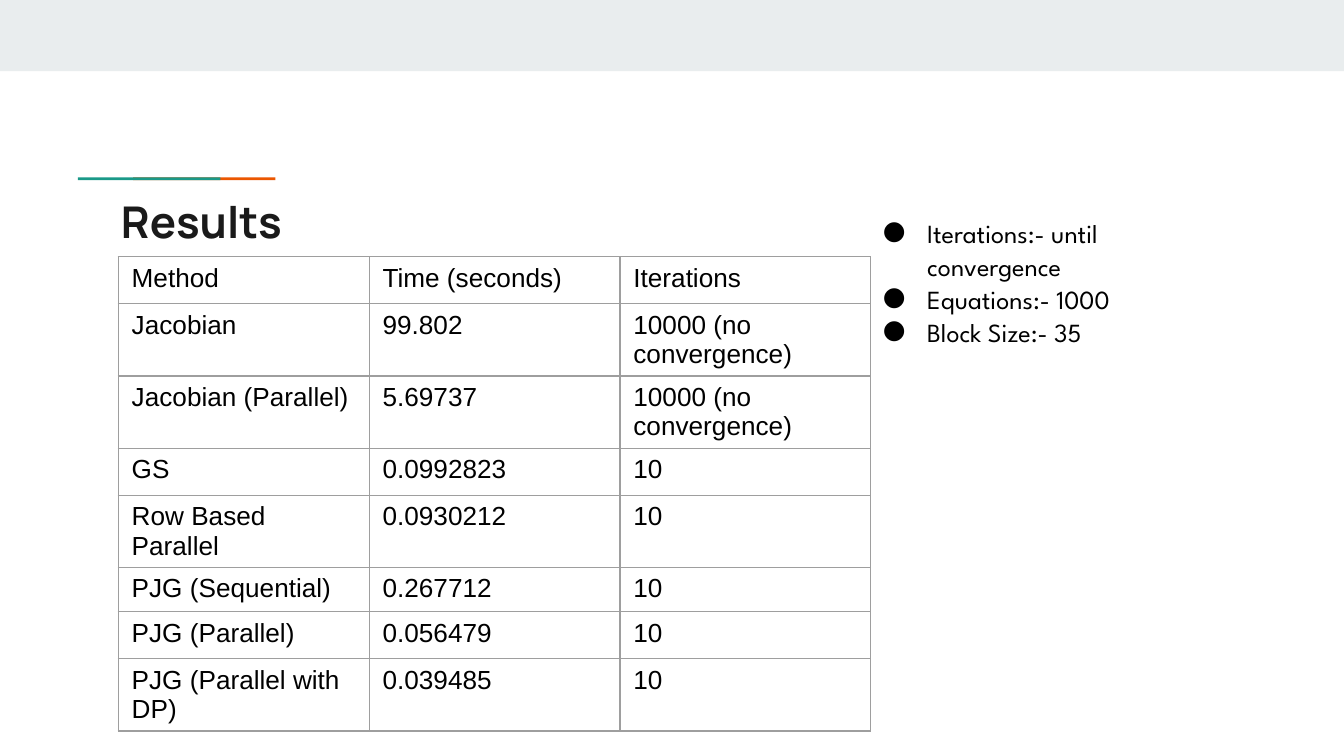
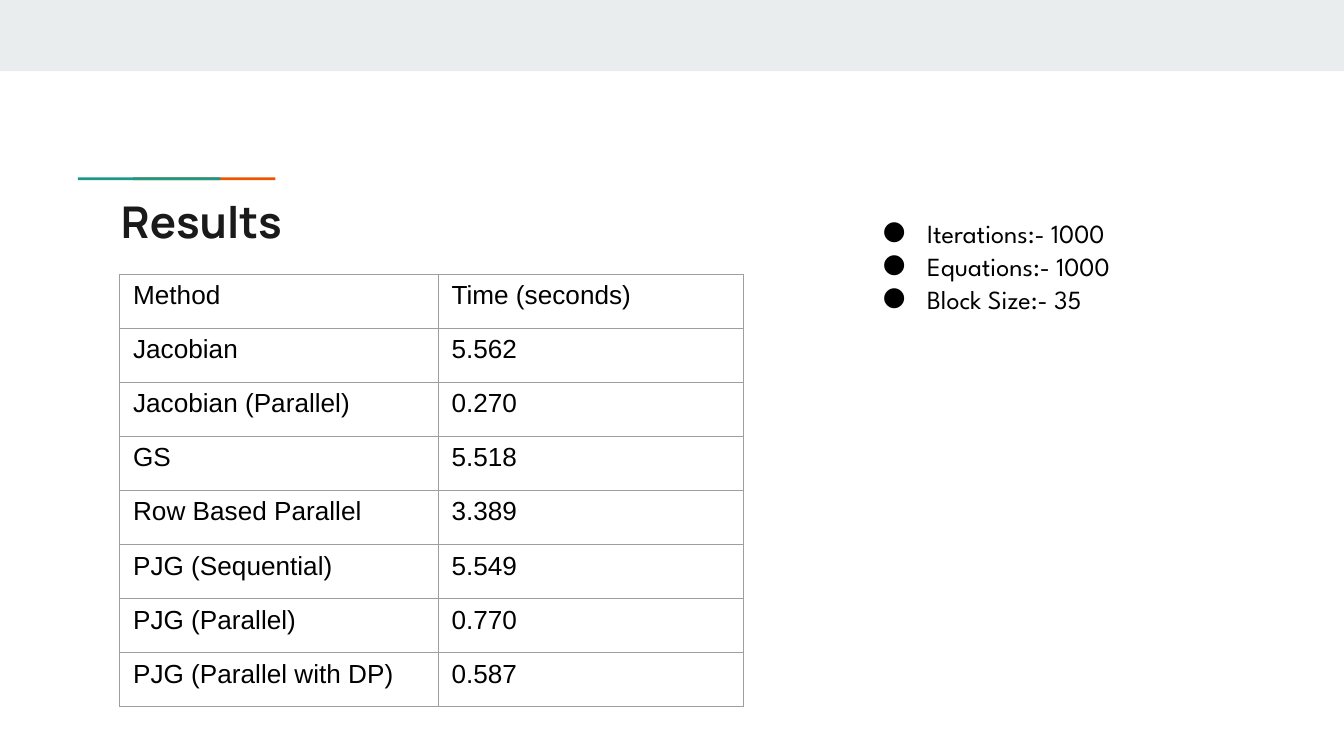
from lxml import etree
from pptx import Presentation
from pptx.dml.color import RGBColor
from pptx.enum.shapes import MSO_SHAPE
from pptx.enum.text import MSO_ANCHOR, MSO_AUTO_SIZE, PP_ALIGN
from pptx.oxml.ns import qn
from pptx.util import Inches, Pt

RECT = MSO_SHAPE.RECTANGLE
TOP = MSO_ANCHOR.TOP
LEFT = PP_ALIGN.LEFT
NO_FIT = MSO_AUTO_SIZE.NONE
GROW = MSO_AUTO_SIZE.SHAPE_TO_FIT_TEXT
TITLE_ONLY = 5

COLORS = {
    "band": "E9EDEE",
    "orange": "EB5600",
    "green": "1A9988",
    "title": "1A1A1A",
    "text": "000000",
    "border": "9E9E9E",
}
TITLE_FONT, TABLE_FONT, NOTE_FONT = "Manrope", "Arial", "League Spartan"

METHODS = ["Jacobian", "Jacobian (Parallel)", "GS", "Row Based Parallel",
           "PJG (Sequential)", "PJG (Parallel)", "PJG (Parallel with DP)"]

# Results until convergence
CONVERGENCE_TIMES = ["99.802", "5.69737", "0.0992823", "0.0930212",
                     "0.267712", "0.056479", "0.039485"]
CONVERGENCE_ITERATIONS = ["10000 (no convergence)"] * 2 + ["10"] * 5
CONVERGENCE_HEIGHTS = [0.35, 0.53, 0.53, 0.35, 0.53, 0.33, 0.35, 0.53]

# Results for a fixed number of iterations
FIXED_TIMES = ["5.562", "0.270", "5.518", "3.389", "5.549", "0.770", "0.587"]


def add_run(p, text, font, size, color, bold=False):
    r = p.add_run()
    r.text = text
    r.font.name = font
    r.font.size = Pt(size)
    r.font.bold = bold
    r.font.color.rgb = RGBColor.from_string(COLORS[color])


def add_bar(s, x, y, w, h, color):
    sp = s.shapes.add_shape(RECT, Inches(x), Inches(y), Inches(w), Inches(h))
    sp.shadow.inherit = False
    sp.fill.solid()
    sp.fill.fore_color.rgb = RGBColor.from_string(COLORS[color])
    sp.line.fill.background()


def add_base_slide(prs, title):
    s = prs.slides.add_slide(prs.slide_layouts[TITLE_ONLY])
    # Top band and two-colour accent line
    add_bar(s, 0, 0, 10, 0.53, "band")
    add_bar(s, 0.99, 1.32, 1.06, 0.02, "orange")
    add_bar(s, 0.58, 1.32, 1.06, 0.02, "green")
    # Title
    sp = s.shapes.title
    sp.left, sp.top = Inches(0.8), Inches(1.35)
    sp.width, sp.height = Inches(9.2), Inches(0.59)
    tf = sp.text_frame
    tf.auto_size = NO_FIT
    tf.vertical_anchor = TOP
    tf.margin_left = tf.margin_right = Inches(0.1)
    tf.margin_top = tf.margin_bottom = Inches(0.1)
    p = tf.paragraphs[0]
    p.alignment = LEFT
    add_run(p, title, TITLE_FONT, 23.4, "title", bold=True)
    return s


def set_borders(cell):
    tc_pr = cell._tc.get_or_add_tcPr()
    for i, side in enumerate(("lnL", "lnR", "lnT", "lnB")):
        ln = etree.Element(qn("a:" + side), w=str(Pt(0.75)))
        fill = etree.SubElement(ln, qn("a:solidFill"))
        etree.SubElement(fill, qn("a:srgbClr"), val=COLORS["border"])
        tc_pr.insert(i, ln)


def add_results_table(s, x, y, widths, heights, rows):
    frame = s.shapes.add_table(len(rows), len(widths), Inches(x), Inches(y),
                               Inches(sum(widths)), Inches(sum(heights)))
    table = frame.table
    table.first_row = table.horz_banding = False
    for column, width in zip(table.columns, widths):
        column.width = Inches(width)
    for row, height, texts in zip(table.rows, heights, rows):
        row.height = Inches(height)
        for cell, text in zip(row.cells, texts):
            cell.fill.background()
            set_borders(cell)
            add_run(cell.text_frame.paragraphs[0], text, TABLE_FONT, 14, "text")


def add_bullet(p):
    p_pr = p._p.get_or_add_pPr()
    p_pr.set("marL", str(Inches(0.5)))
    p_pr.set("indent", str(Inches(-0.33)))
    color = etree.SubElement(p_pr, qn("a:buClr"))
    etree.SubElement(color, qn("a:srgbClr"), val=COLORS["text"])
    etree.SubElement(p_pr, qn("a:buFont"), typeface=NOTE_FONT)
    etree.SubElement(p_pr, qn("a:buChar"), char="●")


def add_settings(s, height, items):
    sp = s.shapes.add_textbox(Inches(6.3), Inches(1.56), Inches(2.58), Inches(height))
    tf = sp.text_frame
    tf.word_wrap = True
    tf.auto_size = GROW
    for i, item in enumerate(items):
        p = tf.add_paragraph() if i else tf.paragraphs[0]
        p.line_spacing = 1.05
        add_bullet(p)
        add_run(p, item, NOTE_FONT, 14, "text")


def main():
    prs = Presentation()
    # Widescreen, 16:9
    prs.slide_width, prs.slide_height = Inches(10), Inches(10 * 9 / 16)
    shared_settings = ["Equations:- 1000", "Block Size:- 35"]

    # Slide 1: run until convergence
    s = add_base_slide(prs, "Results")
    rows = [("Method", "Time (seconds)", "Iterations"),
            *zip(METHODS, CONVERGENCE_TIMES, CONVERGENCE_ITERATIONS)]
    add_results_table(s, 0.88, 1.91, [5.6 / 3] * 3, CONVERGENCE_HEIGHTS, rows)
    add_settings(s, 1.09, ["Iterations:- until convergence", *shared_settings])

    # Slide 2: fixed number of iterations
    s = add_base_slide(prs, "Results")
    rows = [("Method", "Time (seconds)"), *zip(METHODS, FIXED_TIMES)]
    add_results_table(s, 0.89, 2.04, [2.37, 2.27],
                      [3.22 / len(rows)] * len(rows), rows)
    add_settings(s, 0.84, ["Iterations:- 1000", *shared_settings])

    prs.save("out.pptx")


if __name__ == "__main__":
    main()
